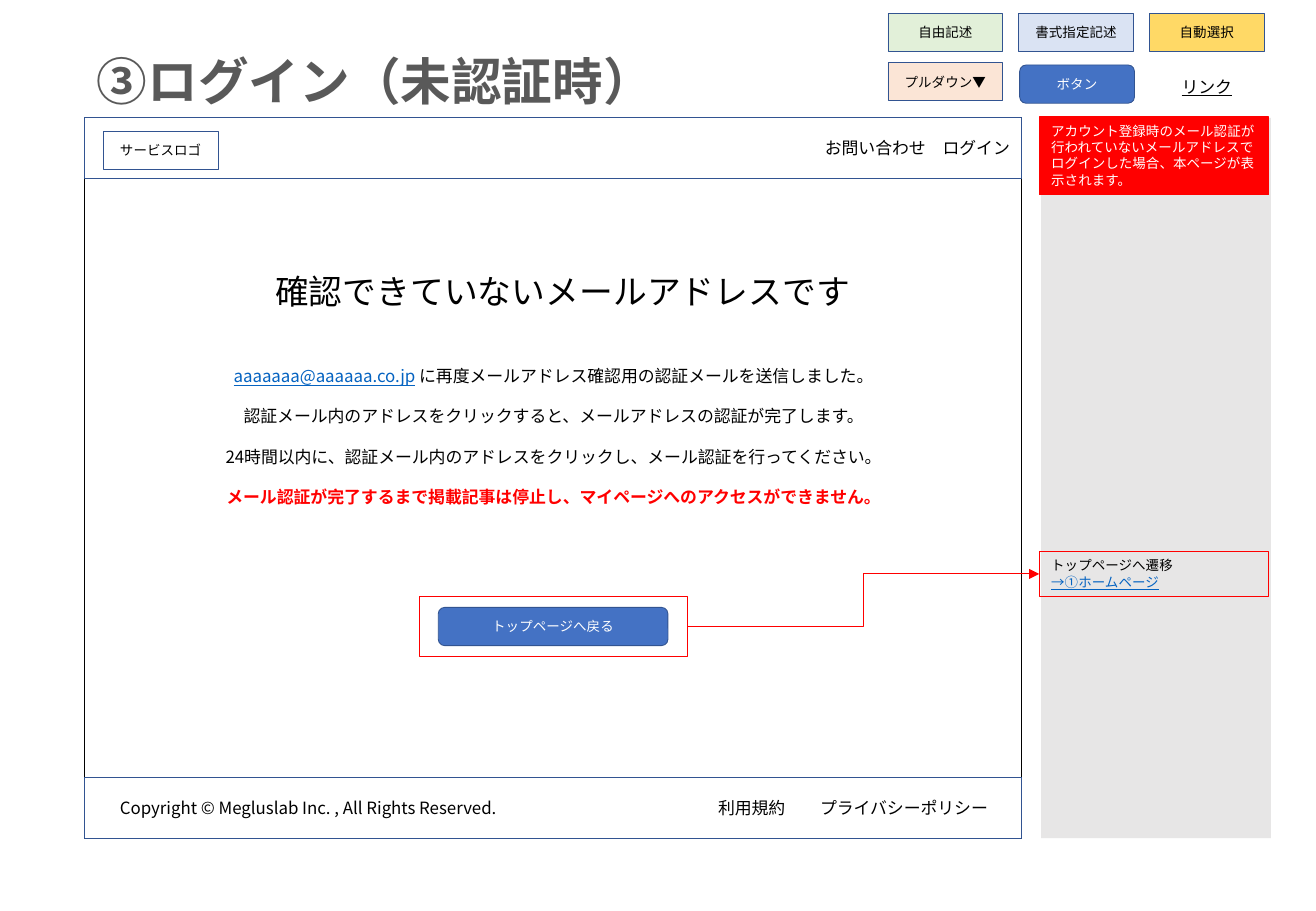
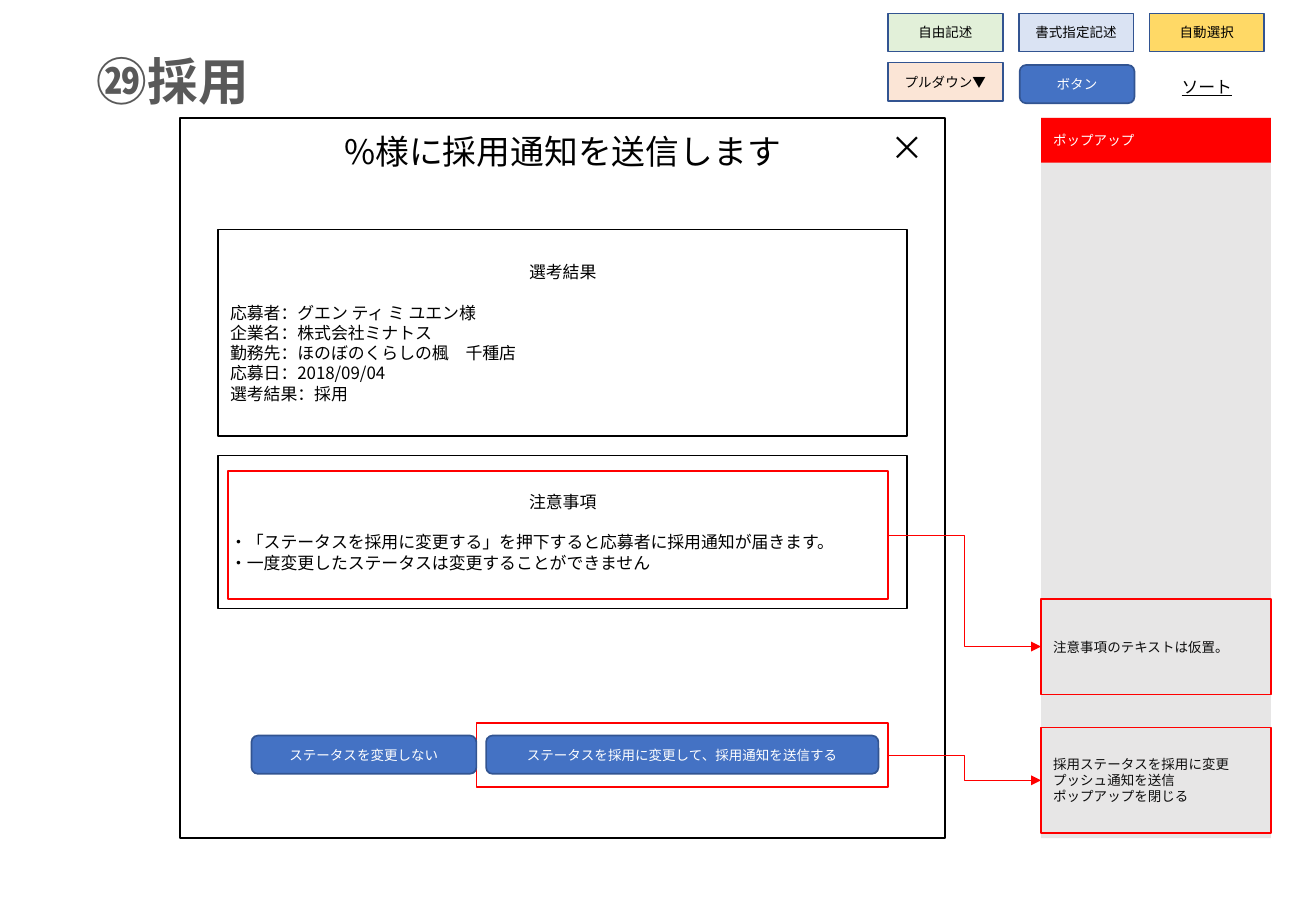
from dataclasses import dataclass

from lxml import etree
from pptx import Presentation
from pptx import util as u
from pptx.dml.color import RGBColor
from pptx.enum import shapes, text
from pptx.oxml.ns import qn

# Grid: every position and length below counts cells of this size
CELL = 0.1575
FONT = "Noto Sans CJK JP"
LEADING = 1.2

BLACK = RGBColor(0x00, 0x00, 0x00)
WHITE = RGBColor(0xFF, 0xFF, 0xFF)
INK = RGBColor(0x0D, 0x0D, 0x0D)
TITLE = RGBColor(0x59, 0x59, 0x59)
RED = RGBColor(0xFF, 0x00, 0x00)
LINK = RGBColor(0x05, 0x63, 0xC1)
BLUE = RGBColor(0x44, 0x72, 0xC4)
NAVY = RGBColor(0x32, 0x54, 0x91)
GREY = RGBColor(0xE7, 0xE6, 0xE6)
GREEN = RGBColor(0xE2, 0xF0, 0xD9)
PEACH = RGBColor(0xFB, 0xE5, 0xD6)
PALE = RGBColor(0xDA, 0xE3, 0xF3)
YELLOW = RGBColor(0xFF, 0xD9, 0x66)

LEFT, CENTER, RIGHT = text.PP_ALIGN.LEFT, text.PP_ALIGN.CENTER, text.PP_ALIGN.RIGHT
TOP, MIDDLE = text.MSO_ANCHOR.TOP, text.MSO_ANCHOR.MIDDLE

# Shared columns and rows
PAGE_X, PAGE_W = 4.44, 48.95
POPUP_X, POPUP_W = 9.4, 40
SIDE_X, SIDE_W = 54.4, 12
BODY_Y, BODY_H = 6.16, 37.65
LEGEND_X, LEGEND_STEP = 46.4, 6.83
CHIP_W, CHIP_H = 6, 2
BAR_H = 3.17
HEAD_H = 2.79


def cells(n):
    return u.Inches(n * CELL)


@dataclass
class Par:
    """A paragraph: runs are (text, style changes) pairs."""
    runs: list
    align: object = None
    before: float = 0
    tabs: tuple = ()


def par(words, align=None, before=0, tabs=(), **style):
    return Par([(words, style)], align, before, tabs)


class Deck:
    def __init__(self):
        self.prs = Presentation()
        self.prs.slide_width = u.Inches(10.83)
        self.prs.slide_height = u.Inches(7.5)
        self.s = None
        self.weight = 1

    def new_slide(self, title, weight):
        self.s = self.prs.slides.add_slide(self.prs.slide_layouts[6])
        self.weight = weight
        self.label(PAGE_X, 2.29, 59.62, 3.87, [par(title, bold=True)],
                   size=30, color=TITLE, align=LEFT)

    def fill_text(self, sp, pars, size, color, align, anchor, inset=None):
        tf = sp.text_frame
        tf.word_wrap = True
        tf.vertical_anchor = anchor
        if inset is not None:
            tf.margin_left = cells(inset)
        for i, item in enumerate(pars):
            p = tf.paragraphs[0] if i == 0 else tf.add_paragraph()
            p.alignment = align if item.align is None else item.align
            p.line_spacing = u.Pt(size * LEADING)
            p.space_before = u.Pt(item.before)
            if item.tabs:
                tab_list = etree.SubElement(p._p.get_or_add_pPr(), qn("a:tabLst"))
                for stop in item.tabs:
                    etree.SubElement(tab_list, qn("a:tab"), pos=str(cells(stop)), algn="l")
            for words, style in item.runs:
                r = p.add_run()
                r.text = words
                f = r.font
                f.name, f.size = FONT, u.Pt(size)
                f.color.rgb = style.get("color", color)
                f.bold = style.get("bold", False)
                f.underline = style.get("underline", False)
                etree.SubElement(r._r.get_or_add_rPr(), qn("a:ea"), typeface=FONT)

    def label(self, x, y, w, h, pars, size=10, color=BLACK, align=CENTER):
        sp = self.s.shapes.add_textbox(*map(cells, (x, y, w, h)))
        self.fill_text(sp, pars, size, color, align, TOP)

    def box(self, x, y, w, h, pars=(), fill=None, line=None, weight=None, size=8,
            color=BLACK, align=CENTER, anchor=MIDDLE, inset=None,
            kind=shapes.MSO_SHAPE.RECTANGLE):
        sp = self.s.shapes.add_shape(kind, *map(cells, (x, y, w, h)))
        sp.shadow.inherit = False
        if fill is None:
            sp.fill.background()
        else:
            sp.fill.solid()
            sp.fill.fore_color.rgb = fill
        if line is None:
            sp.line.fill.background()
        else:
            sp.line.color.rgb = line
            sp.line.width = u.Pt(weight or self.weight)
        if pars:
            self.fill_text(sp, pars, size, color, align, anchor, inset)
        return sp

    def button(self, x, y, w, words):
        self.box(x, y, w, CHIP_H, [par(words)], fill=BLUE, line=NAVY, color=WHITE,
                 kind=shapes.MSO_SHAPE.ROUNDED_RECTANGLE)

    def legend(self, link_words):
        chips = [("自由記述", GREEN, 0, 0.7), ("書式指定記述", PALE, 1, 0.7),
                 ("自動選択", YELLOW, 2, 0.7), ("プルダウン▼", PEACH, 0, 3.27)]
        for words, fill, col, y in chips:
            self.box(LEGEND_X + col * LEGEND_STEP, y, CHIP_W, CHIP_H,
                     [par(words)], fill=fill, line=NAVY)
        self.button(LEGEND_X + LEGEND_STEP + 0.05, 3.4, CHIP_W, "ボタン")
        self.label(LEGEND_X + 2 * LEGEND_STEP, 3.68, CHIP_W, 1.71,
                   [par(link_words, underline=True)])

    def side_panel(self):
        self.box(SIDE_X, BODY_Y, SIDE_W, BODY_H, fill=GREY)

    def note(self, y, h, pars, x=SIDE_X, **style):
        return self.box(x, y, SIDE_W, h, pars, align=LEFT, **style)

    def heading(self, y, words, x=POPUP_X, w=POPUP_W):
        self.label(x, y, w, HEAD_H, [par(words)], size=20)

    def arrow(self, source, target):
        """Bent arrow from a right side to a left side."""
        c = self.s.shapes.add_connector(shapes.MSO_CONNECTOR.ELBOW, 0, 0, 0, 0)
        c.begin_connect(source, 3)
        c.end_connect(target, 1)
        c.line.color.rgb = RED
        c.line.width = u.Pt(0.5)
        etree.SubElement(c.line._get_or_add_ln(), qn("a:tailEnd"), type="triangle")
        etree.SubElement(c._element.spPr, qn("a:effectLst"))


def login_slide(d):
    d.new_slide("③ログイン（未認証時）", 0.5)
    d.side_panel()
    d.box(PAGE_X, BODY_Y, PAGE_W, BODY_H, line=BLACK)
    d.legend("リンク")

    # Page header and footer
    d.box(PAGE_X, BODY_Y, PAGE_W, BAR_H, [par("お問い合わせ　ログイン")],
          line=NAVY, size=10, align=RIGHT)
    d.box(5.4, 6.86, CHIP_W, CHIP_H, [par("サービスロゴ")], line=NAVY)
    d.box(PAGE_X, BODY_Y + BODY_H - BAR_H, PAGE_W, BAR_H,
          [par("Copyright © Megluslab Inc. , All Rights Reserved.\t利用規約\tプライバシーポリシー",
               tabs=(31.25, 36.58))],
          line=NAVY, size=10, align=LEFT, inset=1.83)

    # Message
    d.heading(13.84, "確認できていないメールアドレスです")
    d.label(PAGE_X, 18.8, PAGE_W, 8.13, [
        Par([("aaaaaaa@aaaaaa.co.jp", dict(color=LINK, underline=True)),
             (" に再度メールアドレス確認用の認証メールを送信しました。", {})]),
        par("認証メール内のアドレスをクリックすると、メールアドレスの認証が完了します。", before=12),
        par("24時間以内に、認証メール内のアドレスをクリックし、メール認証を行ってください。", before=12),
        par("メール認証が完了するまで掲載記事は停止し、マイページへのアクセスができません。",
            before=12, color=RED, bold=True),
    ])

    # Button and side notes
    d.button(22.9, 31.75, 12, "トップページへ戻る")
    frame = d.box(21.9, 31.17, 14, BAR_H, line=RED)
    target = d.note(28.83, 2.35, [
        par("トップページへ遷移"),
        par("→①ホームページ", color=LINK, underline=True),
    ], x=54.3, line=RED, weight=0.75, anchor=TOP)
    d.arrow(frame, target)
    d.note(6.12, 4.06, [
        par("アカウント登録時のメール認証が行われていないメールアドレスで"
            "ログインした場合、本ページが表示されます。"),
    ], x=54.3, fill=RED, line=RED, weight=0.75, color=WHITE, anchor=TOP)


def hiring_slide(d):
    d.new_slide("㉙採用", 1)
    d.legend("ソート")
    d.side_panel()

    # Popup
    d.box(POPUP_X, BODY_Y, POPUP_W, BODY_H, line=BLACK)
    d.heading(6.54, "%様に採用通知を送信します")
    d.heading(6.29, "×", x=45.4, w=4)
    inner_x, inner_w = POPUP_X + 2, POPUP_W - 4
    d.box(inner_x, 12, inner_w, 10.79, [
        par("選考結果", CENTER),
        par("応募者：グエン ティ ミ ユエン様", before=12),
        par("企業名：株式会社ミナトス"),
        par("勤務先：ほのぼのくらしの楓　千種店"),
        par("応募日：2018/09/04"),
        par("選考結果：採用"),
    ], line=BLACK, size=10, align=LEFT)
    d.box(inner_x, 23.81, inner_w, 8, [
        par("注意事項", CENTER),
        par("・「ステータスを採用に変更する」を押下すると応募者に採用通知が届きます。", before=12),
        par("・一度変更したステータスは変更することができません"),
    ], line=BLACK, size=10, align=LEFT)

    # Framed areas, each joined to its side note
    d.note(BODY_Y, 2.35, [par("ポップアップ")], fill=RED, color=WHITE)
    links = [
        ((24.9, 37.78, 21.5, 3.37), 38.03, 5.52,
         ["採用ステータスを採用に変更", "プッシュ通知を送信", "ポップアップを閉じる"]),
        ((11.9, 24.63, 34.5, 6.67), 31.3, 5, ["注意事項のテキストは仮置。"]),
    ]
    for area, y, h, lines in links:
        frame = d.box(*area, line=RED)
        d.arrow(frame, d.note(y, h, [par(words) for words in lines], line=RED, color=INK))
    d.button(25.4, 38.45, 20.5, "ステータスを採用に変更して、採用通知を送信する")
    d.button(13.14, 38.45, 11.75, "ステータスを変更しない")


def main():
    d = Deck()
    login_slide(d)
    hiring_slide(d)
    d.prs.save("out.pptx")


if __name__ == "__main__":
    main()
